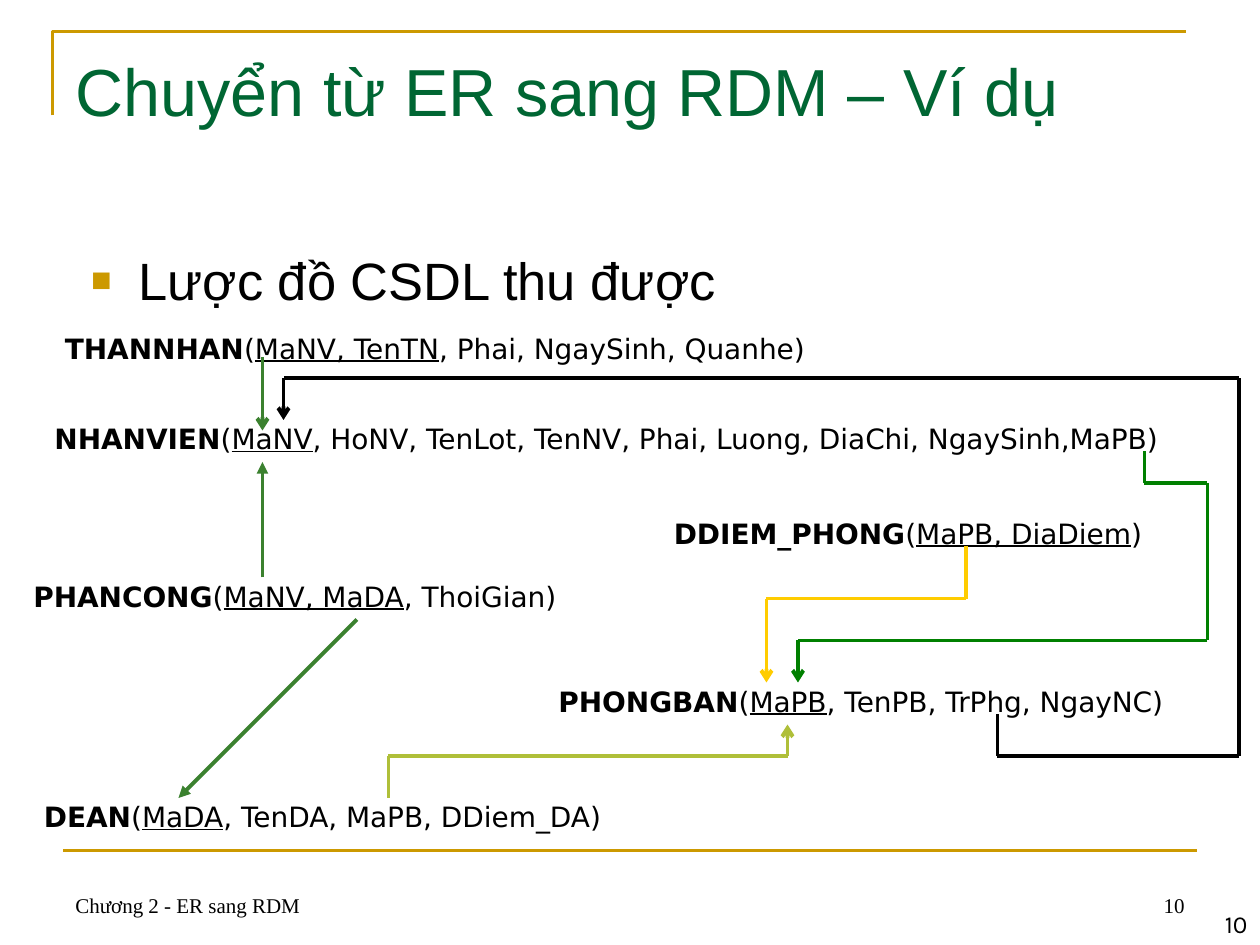
from dataclasses import dataclass
from itertools import pairwise

from lxml import etree
from pptx import Presentation
from pptx.dml.color import RGBColor
from pptx.enum.shapes import MSO_CONNECTOR
from pptx.enum.text import MSO_ANCHOR, MSO_AUTO_SIZE, PP_ALIGN
from pptx.oxml.ns import qn
from pptx.util import Pt

STRAIGHT = MSO_CONNECTOR.STRAIGHT
TOP, BOTTOM = MSO_ANCHOR.TOP, MSO_ANCHOR.BOTTOM
LEFT, RIGHT = PP_ALIGN.LEFT, PP_ALIGN.RIGHT
FIT = MSO_AUTO_SIZE.SHAPE_TO_FIT_TEXT

BLACK = RGBColor(0x00, 0x00, 0x00)
GOLD = RGBColor(0xCC, 0x99, 0x00)
PINE = RGBColor(0x00, 0x66, 0x33)
YELLOW = RGBColor(0xFF, 0xCC, 0x00)
GREEN = RGBColor(0x00, 0x80, 0x00)
MOSS = RGBColor(0x3B, 0x81, 0x2F)
LIME = RGBColor(0xAF, 0xBF, 0x39)

Point = tuple[float, float]


@dataclass
class Label:
    text: str
    box: tuple[float, float, float, float]
    size: float
    font: str
    color: RGBColor = BLACK
    align: PP_ALIGN = LEFT
    anchor: MSO_ANCHOR = BOTTOM


@dataclass
class Table:
    """A relation: its name, key columns and remaining columns."""
    name: str
    keys: str
    rest: str
    left: float
    top: float
    width: float


@dataclass
class Route:
    """A foreign key path through points, with an arrowhead at its end."""
    color: RGBColor
    points: list[Point]
    head: str = "arrow"


TITLE = Label("Chuyển từ ER sang RDM – Ví dụ", (36, 21.6, 648, 56), 38, "Arial", PINE)
BODY = Label("Lược đồ CSDL thu được", (45, 138, 657, 336), 30, "Arial", anchor=TOP)
NOTES = [
    Label("Chương 2 - ER sang RDM", (36, 492, 168, 36), 12, "Times New Roman"),
    Label("10", (516, 492, 168, 36), 12, "Times New Roman", align=RIGHT),
    Label("10", (570, 504, 150, 36), 14, "Karla", align=RIGHT),
]
TABLES = [
    Table("NHANVIEN", "MaNV", ", HoNV, TenLot, TenNV, Phai, Luong, DiaChi, NgaySinh,MaPB)",
          24, 237.6, 672),
    Table("PHONGBAN", "MaPB", ", TenPB, TrPhg, NgayNC)", 312, 387.6, 379.2),
    Table("DEAN", "MaDA", ", TenDA, MaPB, DDiem_DA)", 18, 453.6, 348),
    Table("PHANCONG", "MaNV, MaDA", ", ThoiGian)", 12, 327.6, 344),
    Table("DDIEM_PHONG", "MaPB, DiaDiem", ")", 378, 291.6, 294),
    Table("THANNHAN", "MaNV, TenTN", ", Phai, NgaySinh, Quanhe)", 30, 186, 489),
]
ROUTES = [
    Route(YELLOW, [(552, 312), (552, 342), (438, 342), (438, 390)]),
    Route(GREEN, [(654, 258), (654, 276), (690, 276), (690, 366), (456, 366), (456, 390)]),
    Route(MOSS, [(150, 204), (150, 246)]),
    Route(BLACK, [(570, 408), (570, 432), (708, 432), (708, 216), (162, 216), (162, 240)]),
    Route(MOSS, [(150, 330), (150, 264)], "triangle"),
    Route(MOSS, [(204, 354), (102, 456)], "triangle"),
    Route(LIME, [(222, 456), (222, 432), (450, 432), (450, 414)]),
]


def add_box(slide, left: float, top: float, width: float, height: float):
    frame = slide.shapes.add_textbox(Pt(left), Pt(top), Pt(width), Pt(height)).text_frame
    frame.word_wrap = True
    return frame


def add_run(para, text: str, size: float, font: str, color: RGBColor):
    run = para.add_run()
    run.text = text
    run.font.size = Pt(size)
    run.font.name = font
    run.font.color.rgb = color
    return run


def draw_label(slide, label: Label):
    frame = add_box(slide, *label.box)
    frame.vertical_anchor = label.anchor
    para = frame.paragraphs[0]
    para.alignment = label.align
    add_run(para, label.text, label.size, label.font, label.color)
    return para


def add_bullet(para, indent: float) -> None:
    props = para._p.get_or_add_pPr()
    props.set("marL", str(Pt(indent)))
    props.set("indent", str(-Pt(indent)))
    color = etree.SubElement(props, qn("a:buClr"))
    etree.SubElement(color, qn("a:srgbClr"), val=str(GOLD))
    etree.SubElement(props, qn("a:buSzPct"), val="65000")
    etree.SubElement(props, qn("a:buFont"), typeface="Arial")
    etree.SubElement(props, qn("a:buChar"), char="■")


def draw_table(slide, table: Table) -> None:
    frame = add_box(slide, table.left, table.top, table.width, 26.6)
    frame.auto_size = FIT
    para = frame.paragraphs[0]
    parts = [(table.name, True, False), ("(", False, False),
             (table.keys, False, True), (table.rest, False, False)]
    for text, bold, under in parts:
        run = add_run(para, text, 16, "DejaVu Sans", BLACK)
        run.font.bold = bold
        run.font.underline = under


def draw_line(slide, start: Point, end: Point, color: RGBColor, width: float):
    ends = [Pt(value) for value in (*start, *end)]
    line = slide.shapes.add_connector(STRAIGHT, *ends)
    line.line.color.rgb = color
    line.line.width = Pt(width)
    etree.SubElement(line._element.spPr, qn("a:effectLst"))
    return line


def draw_route(slide, route: Route) -> None:
    for start, end in pairwise(route.points):
        line = draw_line(slide, start, end, route.color, 2.25)
    etree.SubElement(line.line._get_or_add_ln(), qn("a:tailEnd"), type=route.head)


def draw_frame(slide) -> None:
    """Draw the gold corner above the title and the rule over the footer."""
    build = slide.shapes.build_freeform(Pt(30), Pt(66))
    build.add_line_segments([(Pt(30), Pt(18)), (Pt(678), Pt(18))], close=False)
    corner = build.convert_to_shape()
    corner.shadow.inherit = False
    corner.fill.background()
    corner.line.color.rgb = GOLD
    corner.line.width = Pt(1.5)
    draw_line(slide, (36, 486), (684, 486), GOLD, 1.5)


def main() -> None:
    deck = Presentation()
    deck.slide_width, deck.slide_height = Pt(720), Pt(540)
    slide = deck.slides.add_slide(deck.slide_layouts[6])
    draw_frame(slide)
    for label in [*NOTES, TITLE]:
        draw_label(slide, label)
    add_bullet(draw_label(slide, BODY), 27)
    for table in TABLES:
        draw_table(slide, table)
    for route in ROUTES:
        draw_route(slide, route)
    deck.save("out.pptx")


if __name__ == "__main__":
    main()
